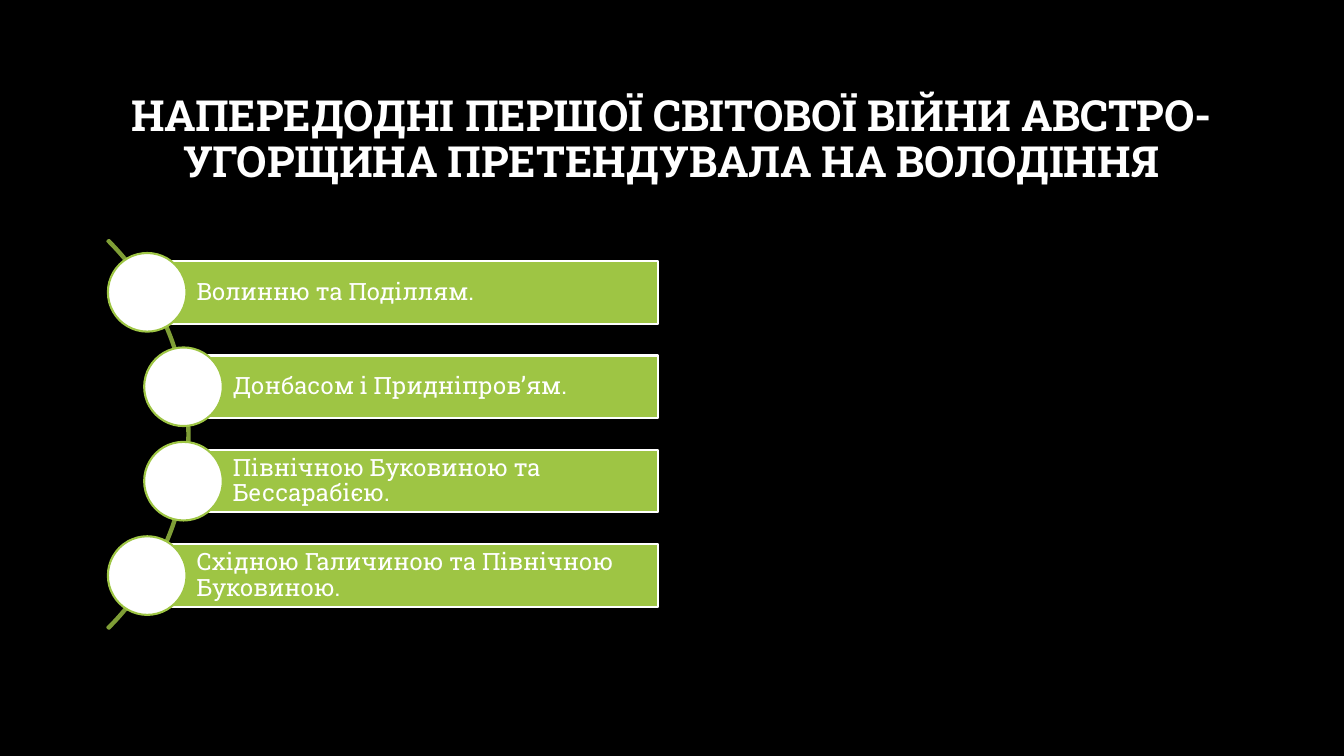
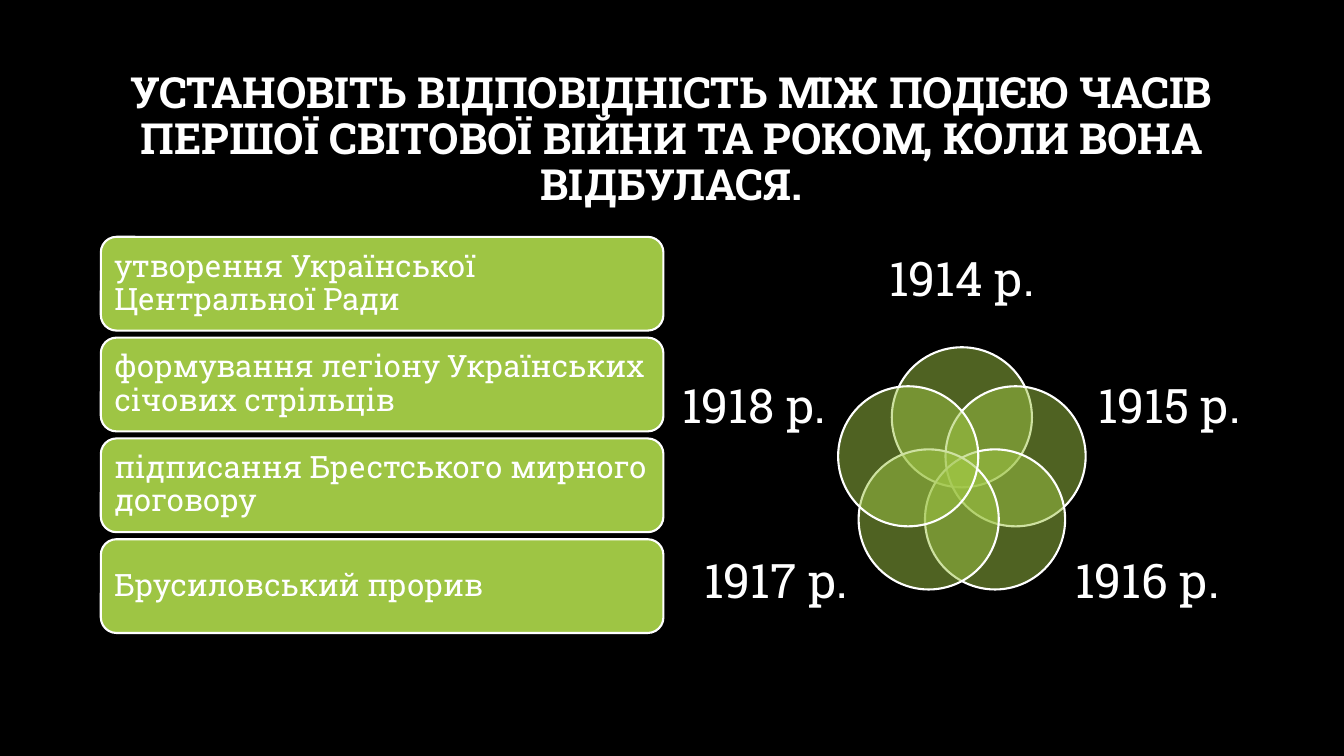
from math import cos, radians, sin

from lxml.etree import SubElement as Sub
from pptx import Presentation as Deck
from pptx.dml.color import RGBColor as Rgb
from pptx.enum.shapes import MSO_SHAPE as Kind
from pptx.enum.text import MSO_ANCHOR as Anchor, PP_ALIGN as Align
from pptx.oxml.ns import qn
from pptx.util import Inches, Pt

HUES = {"back": "000000", "white": "FFFFFF", "green": "9EC544", "dark": "7F9E36"}
FRAME = {"word_wrap": True, "vertical_anchor": Anchor.MIDDLE}
SIDES = ("left", "top", "right", "bottom")


def hue(name):
    return Rgb.from_string(HUES[name])


def apply(item, values):
    for name, value in values.items():
        setattr(item, name, value)


class Pen:
    face = "Roboto Slab"

    def __init__(self):
        self.deck = Deck()
        apply(self.deck, {"slide_width": Inches(13.33), "slide_height": Inches(7.5)})
        self.slide = None

    def page(self, title):
        self.slide = self.deck.slides.add_slide(self.deck.slide_layouts[6])
        fill = self.slide.background.fill
        fill.solid()
        fill.fore_color.rgb = hue("back")
        self.label(title, (1, 0.67, 11.32, 1.45), 30.6, (0.1, 0.05, 0.1, 0.05), bold=True)

    def letter(self, shape, text, size, pads, align=Align.LEFT, bold=False):
        frame = shape.text_frame
        apply(frame, FRAME)
        apply(frame, {f"margin_{side}": Inches(pad) for side, pad in zip(SIDES, pads)})
        para = frame.paragraphs[0]
        apply(para, {"text": text, "alignment": align, "line_spacing": 0.9})
        apply(para.font, {"name": self.face, "size": Pt(size), "bold": bold})
        para.font.color.rgb = hue("white")

    def label(self, text, area, size, pads=(0, 0, 0, 0), bold=False):
        box = self.slide.shapes.add_textbox(*map(Inches, area))
        self.letter(box, text, size, pads, Align.CENTER, bold)

    def shape(self, kind, area, fill="green", line="white", alpha=None):
        shape = self.slide.shapes.add_shape(kind, *map(Inches, area))
        shape.shadow.inherit = False
        if fill:
            shape.fill.solid()
            shape.fill.fore_color.rgb = hue(fill)
        else:
            shape.fill.background()
        shape.line.color.rgb = hue(line)
        shape.line.width = Pt(1.5)
        if alpha:
            tone = shape.element.spPr.find(qn("a:solidFill"))[0]
            Sub(tone, qn("a:alpha"), val=str(alpha * 1000))
        return shape

    def arc(self, area, bends):
        arc = self.shape(Kind.BLOCK_ARC, area, None, "dark")
        for i, bend in enumerate(bends):
            arc.adjustments[i] = bend

    def bar(self, kind, area, text, size, pads):
        self.letter(self.shape(kind, area), text, size, pads)


def claims(pen):
    pen.page("НАПЕРЕДОДНІ ПЕРШОЇ СВІТОВОЇ ВІЙНИ АВСТРО-УГОРЩИНА ПРЕТЕНДУВАЛА НА ВОЛОДІННЯ")
    pen.arc((-3.58, 1.58, 5.46, 5.46), (189, 27, 0.004))
    rows = (
        (1.46, "Волинню та Поділлям."),
        (1.82, "Донбасом і Придніпров’ям."),
        (1.82, "Північною Буковиною та Бессарабією."),
        (1.46, "Східною Галичиною та Північною Буковиною."),
    )
    right, high, dot = 6.53, 0.62, 0.78
    step = (5.4 - 2.59) / (len(rows) - 1)
    for i, (left, text) in enumerate(rows):
        top = 2.59 + i * step
        pen.bar(Kind.RECTANGLE, (left, top, right - left, high), text, 17,
                (0.49, 0.05, 0.05, 0.05))
        pen.shape(Kind.OVAL, (left - dot / 2, top + (high - dot) / 2, dot, dot),
                  "white", "green")


def events(pen):
    pen.page("УСТАНОВІТЬ ВІДПОВІДНІСТЬ МІЖ ПОДІЄЮ ЧАСІВ ПЕРШОЇ СВІТОВОЇ ВІЙНИ "
             "ТА РОКОМ, КОЛИ ВОНА ВІДБУЛАСЯ.")
    facts = (
        "утворення Української Центральної Ради",
        "формування легіону Українських січових стрільців",
        "підписання Брестського мирного договору",
        "Брусиловський прорив",
    )
    for i, fact in enumerate(facts):
        pen.bar(Kind.ROUNDED_RECTANGLE, (1, 2.35 + i, 5.58, 0.93), fact, 22, (0.09,) * 4)

    mid, axis, ring, size = 9.54, 4.7, 0.56, 1.39
    wide, high = 1.62, 1
    spots = ((0, 2.79), (2.06, 4.05), (1.84, 5.78), (-1.84, 5.78), (-2.06, 4.05))
    for i, (shift, level) in enumerate(spots):
        turn = radians(i * 360 / len(spots))
        left = mid + ring * sin(turn) - size / 2
        top = axis - ring * cos(turn) - size / 2
        pen.shape(Kind.OVAL, (left, top, size, size), alpha=50)
        pen.label(f"{1914 + i} р.", (mid + shift - wide / 2, level - high / 2, wide, high), 34)


def main():
    pen = Pen()
    claims(pen)
    events(pen)
    pen.deck.save("out.pptx")


if __name__ == "__main__":
    main()
